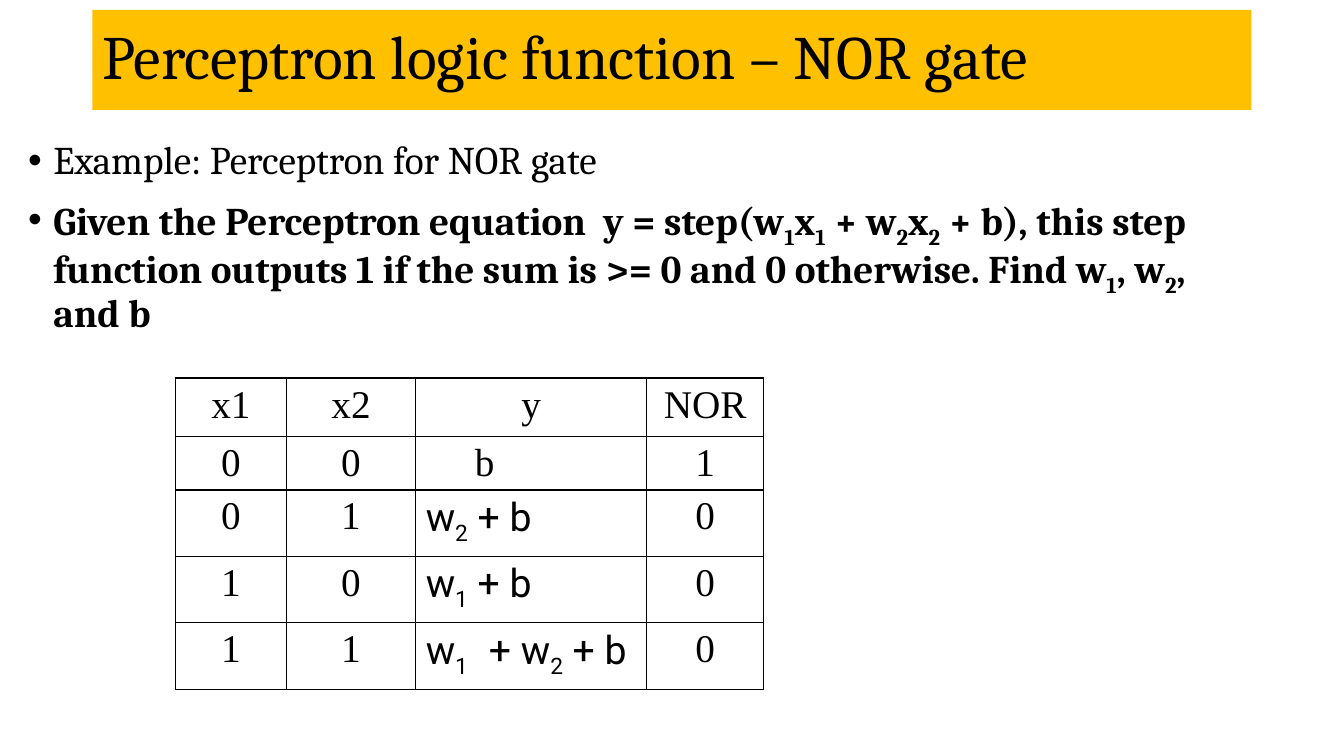
import pptx
import pptx.util
import pptx.dml.color
import pptx.enum.shapes
import pptx.enum.text
import pptx.oxml
import pptx.oxml.ns

Pt = pptx.util.Pt
CENTER = pptx.enum.text.PP_ALIGN.CENTER
LEFT = pptx.enum.text.PP_ALIGN.LEFT
BLACK = pptx.dml.color.RGBColor(0x00, 0x00, 0x00)
AMBER = pptx.dml.color.RGBColor(0xFF, 0xC0, 0x00)

# Text between bars is subscript.
TITLE = "Perceptron logic function – NOR gate"
EXAMPLE = "Example: Perceptron for NOR gate"
QUESTION = (
    "Given the Perceptron equation  y = step(w|1|x|1| + w|2|x|2| + b), "
    "this step function outputs 1 if the sum is >= 0 and 0 otherwise. "
    "Find w|1|, w|2|, and b"
)
TRUTH_TABLE = [
    ("x1", "x2", "y", "NOR"),
    ("0", "0", "b", "1"),
    ("0", "1", "w|2| + b", "0"),
    ("1", "0", "w|1| + b", "0"),
    ("1", "1", "w|1  | + w|2| + b", "0"),
]
COLUMN_WIDTHS = (79, 92.5, 165, 83.5)
ROW_HEIGHTS = (42, 38, 47.5, 47.5, 47.5)
Y_COLUMN = 2
B_INDENT = 35

TITLE_FONT = {"name": "Cambria", "size": Pt(44)}
BODY_FONT = {"name": "Cambria", "size": Pt(28)}
BOLD_FONT = {**BODY_FONT, "bold": True}
TABLE_FONT = {"name": "Times New Roman", "size": Pt(28)}
FORMULA_FONT = {"name": "Roboto", "size": Pt(28)}


def set_values(target, values):
    for name, value in values.items():
        setattr(target, name, value)


def write(para, text, font):
    """Add runs to a paragraph, lowering every second part between bars."""
    for index, part in enumerate(text.split("|")):
        span = para.add_run()
        span.text = part
        set_values(span.font, font)
        span.font.color.rgb = BLACK
        if index % 2:
            span.font._element.set("baseline", "-25000")


def add_bullet(para):
    properties = para._p.get_or_add_pPr()
    properties.set("marL", str(Pt(18)))
    properties.set("indent", str(-Pt(18)))
    for tag, name, value in (("buFont", "typeface", "Arial"), ("buChar", "char", "•")):
        element = pptx.oxml.parse_xml(
            f'<a:{tag} {pptx.oxml.ns.nsdecls("a")} {name}="{value}"/>'
        )
        properties.append(element)


def add_borders(cell):
    properties = cell._tc.get_or_add_tcPr()
    for index, side in enumerate(("lnL", "lnR", "lnT", "lnB")):
        line = pptx.oxml.parse_xml(
            f'<a:{side} {pptx.oxml.ns.nsdecls("a")} w="{Pt(1)}">'
            f'<a:solidFill><a:srgbClr val="{BLACK}"/></a:solidFill></a:{side}>'
        )
        properties.insert(index, line)


def add_title(page):
    box = page.shapes.add_shape(
        pptx.enum.shapes.MSO_SHAPE.RECTANGLE, Pt(66), Pt(7), Pt(828), Pt(71.5)
    )
    box.shadow.inherit = False
    box.fill.solid()
    box.fill.fore_color.rgb = AMBER
    box.line.fill.background()
    box.text_frame.word_wrap = True
    box.text_frame.vertical_anchor = pptx.enum.text.MSO_ANCHOR.MIDDLE
    para = box.text_frame.paragraphs[0]
    set_values(para, {"alignment": LEFT, "line_spacing": 0.9})
    write(para, TITLE, TITLE_FONT)


def add_body(page):
    box = page.shapes.add_textbox(Pt(13), Pt(97), Pt(880.5), Pt(397.5))
    frame = box.text_frame
    frame.word_wrap = True
    example, question = frame.paragraphs[0], frame.add_paragraph()
    for para, text, font in (
        (example, EXAMPLE, BODY_FONT),
        (question, QUESTION, BOLD_FONT),
    ):
        add_bullet(para)
        para.line_spacing = 0.9
        write(para, text, font)
    question.space_before = Pt(10)


def add_truth_table(page):
    table = page.shapes.add_table(
        len(ROW_HEIGHTS), len(COLUMN_WIDTHS), Pt(125.5), Pt(270),
        Pt(sum(COLUMN_WIDTHS)), Pt(sum(ROW_HEIGHTS)),
    ).table
    set_values(table, {"first_row": False, "horz_banding": False})
    for column, width in zip(table.columns, COLUMN_WIDTHS):
        column.width = Pt(width)
    for row, height in zip(table.rows, ROW_HEIGHTS):
        row.height = Pt(height)
    for row_index, texts in enumerate(TRUTH_TABLE):
        for column_index, text in enumerate(texts):
            cell = table.cell(row_index, column_index)
            cell.fill.background()
            cell.margin_bottom = Pt(0)
            add_borders(cell)
            para = cell.text_frame.paragraphs[0]
            in_y_column = column_index == Y_COLUMN and row_index > 0
            para.alignment = LEFT if in_y_column else CENTER
            if text == "b":
                para._p.get_or_add_pPr().set("marL", str(Pt(B_INDENT)))
            write(para, text, FORMULA_FONT if "|" in text else TABLE_FONT)


def main():
    deck = pptx.Presentation()
    set_values(deck, {"slide_width": Pt(960), "slide_height": Pt(540)})
    page = deck.slides.add_slide(deck.slide_layouts[6])
    add_title(page)
    add_body(page)
    add_truth_table(page)
    deck.save("out.pptx")


if __name__ == "__main__":
    main()
